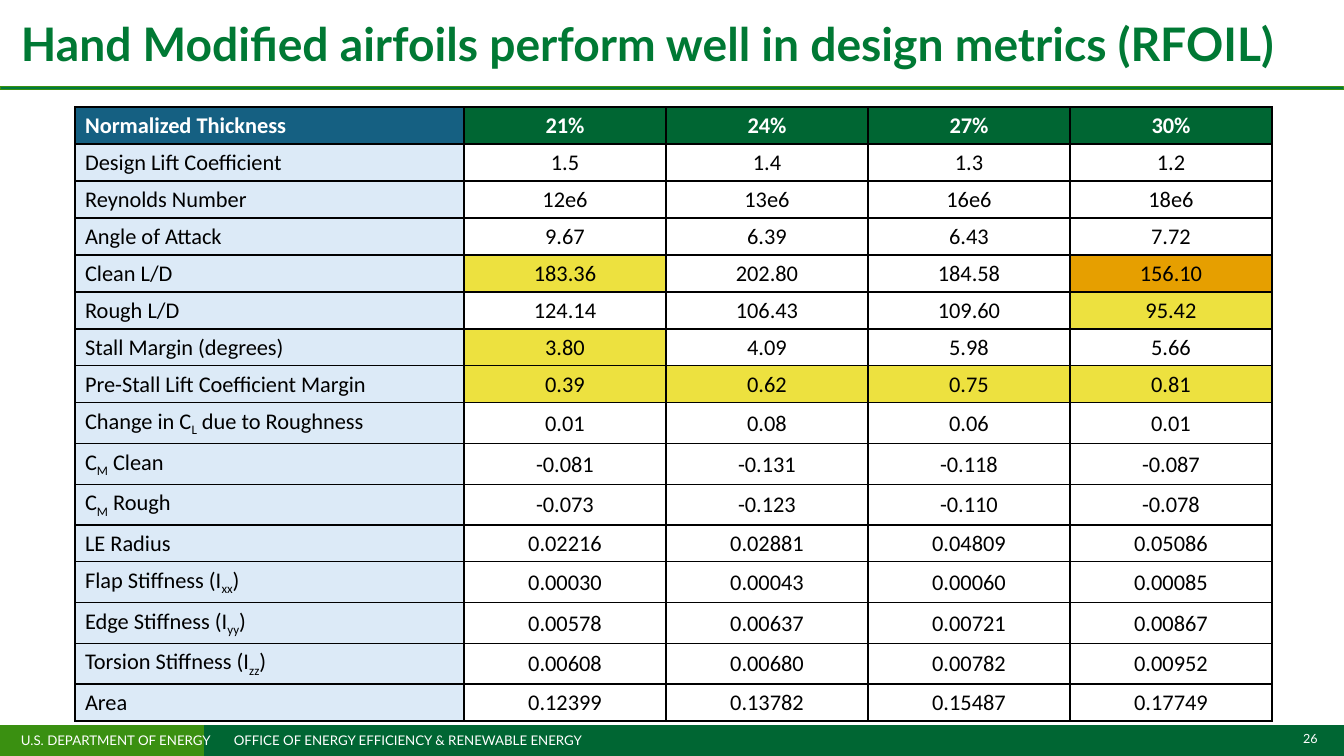
from lxml import etree
from pptx import Presentation
from pptx.dml.color import RGBColor
from pptx.enum.shapes import MSO_SHAPE
from pptx.enum.text import MSO_ANCHOR, PP_ALIGN
from pptx.oxml.ns import qn
from pptx.util import Emu, Pt

RECTANGLE = MSO_SHAPE.RECTANGLE
LEFT, CENTER = PP_ALIGN.LEFT, PP_ALIGN.CENTER
TOP, MIDDLE = MSO_ANCHOR.TOP, MSO_ANCHOR.MIDDLE

BLACK = RGBColor(0x00, 0x00, 0x00)
WHITE = RGBColor(0xFF, 0xFF, 0xFF)
DARK_GREEN = RGBColor(0x00, 0x66, 0x33)
LEAF_GREEN = RGBColor(0x3A, 0x90, 0x11)
RULE_GREEN = RGBColor(0x01, 0x7A, 0x3E)
TITLE_GREEN = RGBColor(0x00, 0x79, 0x34)
HEADER_BLUE = RGBColor(0x15, 0x60, 0x82)
LABEL_BLUE = RGBColor(0xDC, 0xEA, 0xF7)
YELLOW = RGBColor(0xED, 0xE1, 0x3F)
ORANGE = RGBColor(0xE6, 0x9F, 0x00)

PX_PER_INCH = 100.8

# Text between bars is set as a subscript
METRICS = [
    ("Normalized Thickness", "21%", "24%", "27%", "30%"),
    ("Design Lift Coefficient", "1.5", "1.4", "1.3", "1.2"),
    ("Reynolds Number", "12e6", "13e6", "16e6", "18e6"),
    ("Angle of Attack", "9.67", "6.39", "6.43", "7.72"),
    ("Clean L/D", "183.36", "202.80", "184.58", "156.10"),
    ("Rough L/D", "124.14", "106.43", "109.60", "95.42"),
    ("Stall Margin (degrees)", "3.80", "4.09", "5.98", "5.66"),
    ("Pre-Stall Lift Coefficient Margin", "0.39", "0.62", "0.75", "0.81"),
    ("Change in C|L| due to Roughness", "0.01", "0.08", "0.06", "0.01"),
    ("C|M| Clean", "-0.081", "-0.131", "-0.118", "-0.087"),
    ("C|M| Rough", "-0.073", "-0.123", "-0.110", "-0.078"),
    ("LE Radius", "0.02216", "0.02881", "0.04809", "0.05086"),
    ("Flap Stiffness (I|xx|)", "0.00030", "0.00043", "0.00060", "0.00085"),
    ("Edge Stiffness (I|yy|)", "0.00578", "0.00637", "0.00721", "0.00867"),
    ("Torsion Stiffness (I|zz|)", "0.00608", "0.00680", "0.00782", "0.00952"),
    ("Area", "0.12399", "0.13782", "0.15487", "0.17749"),
]
# (row, column) of each marked value
HIGHLIGHTS = {(4, 1): YELLOW, (4, 4): ORANGE, (5, 4): YELLOW, (6, 1): YELLOW}
HIGHLIGHTS.update({(7, column): YELLOW for column in range(1, 5)})


def px(length):
    return Emu(round(length * 914400 / PX_PER_INCH))


def write(frame, text, font="Lato", size=16, color=BLACK, bold=False,
          align=LEFT, tab=None, spacing=None):
    para = frame.paragraphs[0]
    para.alignment = align
    if spacing:
        para.line_spacing = spacing
    if tab:
        tabs = etree.SubElement(para._p.get_or_add_pPr(), qn("a:tabLst"))
        etree.SubElement(tabs, qn("a:tab"), pos=str(px(tab)), algn="l")
    for index, piece in enumerate(text.split("|")):
        span = para.add_run()
        span.text = piece
        span.font.name = font
        span.font.size = Pt(size)
        span.font.bold = bold
        span.font.color.rgb = color
        if index % 2:
            span._r.get_or_add_rPr().set("baseline", "-25000")


class MetricsPage:
    def __init__(self, deck):
        self.shapes = deck.slides.add_slide(deck.slide_layouts[6]).shapes

    def bar(self, left, top, width, height, fill, line=None):
        bar = self.shapes.add_shape(RECTANGLE, px(left), px(top), px(width), px(height))
        bar.shadow.inherit = False
        bar.fill.solid()
        bar.fill.fore_color.rgb = fill
        if line:
            bar.line.color.rgb = line
            bar.line.width = Pt(0.75)
        else:
            bar.line.fill.background()

    def text(self, left, top, width, height, text, anchor=TOP, **style):
        box = self.shapes.add_textbox(px(left), px(top), px(width), px(height))
        frame = box.text_frame
        frame.word_wrap = True
        frame.vertical_anchor = anchor
        write(frame, text, **style)

    def border(self, cell):
        properties = cell._tc.get_or_add_tcPr()
        for index, side in enumerate(("lnL", "lnR", "lnT", "lnB")):
            line = etree.Element(qn(f"a:{side}"), w=str(Pt(1)))
            fill = etree.SubElement(line, qn("a:solidFill"))
            etree.SubElement(fill, qn("a:srgbClr"), val=str(BLACK))
            properties.insert(index, line)

    def cell(self, cell, text, fill, header, label):
        cell.vertical_anchor = TOP if header and label else MIDDLE
        if not label:
            cell.margin_left = cell.margin_right = cell.margin_top = px(1)
            cell.margin_bottom = 0
        if fill:
            cell.fill.solid()
            cell.fill.fore_color.rgb = fill
        else:
            cell.fill.background()
        self.border(cell)
        write(cell.text_frame, text, font="Calibri", bold=header,
              color=WHITE if header else BLACK, align=LEFT if label else CENTER)

    def table(self, left, top, widths, row_height, rows):
        table = self.shapes.add_table(
            len(rows), len(widths), px(left), px(top),
            px(sum(widths)), px(row_height * len(rows))).table
        table.first_row = table.horz_banding = False
        for column, width in zip(table.columns, widths):
            column.width = px(width)
        for i, values in enumerate(rows):
            for j, value in enumerate(values):
                header, label = i == 0, j == 0
                if header:
                    fill = HEADER_BLUE if label else DARK_GREEN
                else:
                    fill = LABEL_BLUE if label else HIGHLIGHTS.get((i, j))
                self.cell(table.cell(i, j), value, fill, header, label)


def main():
    deck = Presentation()
    deck.slide_width, deck.slide_height = px(1344), px(756)
    page = MetricsPage(deck)

    # Footer band
    page.bar(204, 725, 1140, 31, DARK_GREEN)
    page.bar(0, 725, 204, 31, LEAF_GREEN)
    page.text(1277, 728, 67, 26, "26", size=9, color=WHITE, align=CENTER, spacing=0.9)
    page.text(11, 727, 727, 26,
              "U.S. DEPARTMENT OF ENERGY\tOFFICE OF ENERGY EFFICIENCY & RENEWABLE ENERGY",
              size=9.5, color=WHITE, tab=213)

    # Title and its rule
    page.bar(0, 87, 1344, 3, RULE_GREEN, LEAF_GREEN)
    page.text(11, 0, 1325, 86,
              "Hand Modified airfoils perform well in design metrics (RFOIL)",
              anchor=MIDDLE, size=33, color=TITLE_GREEN, bold=True)

    # Design metrics by thickness
    page.table(75, 107, [389] + [202] * 4, 37, METRICS)

    deck.save("out.pptx")


if __name__ == "__main__":
    main()
